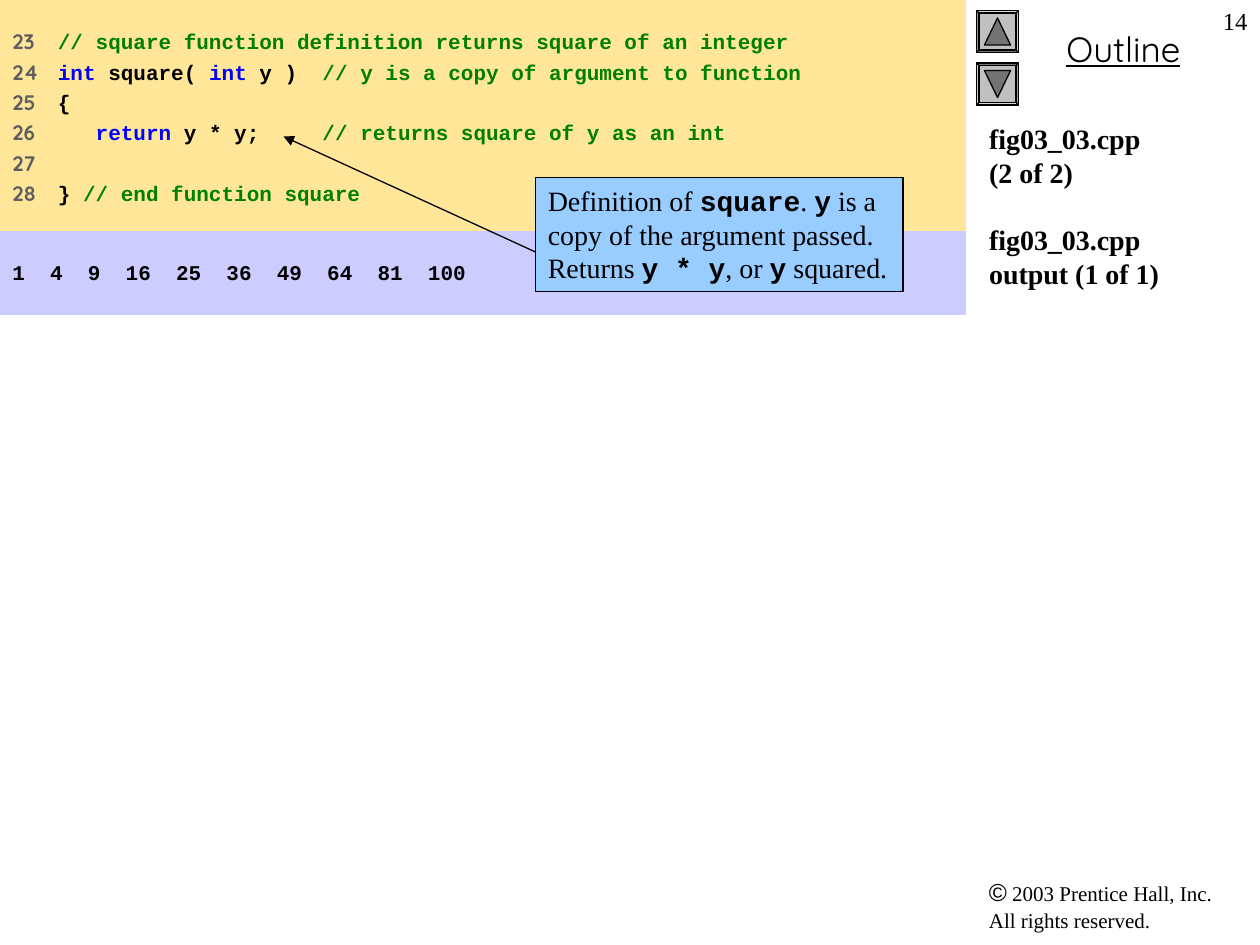
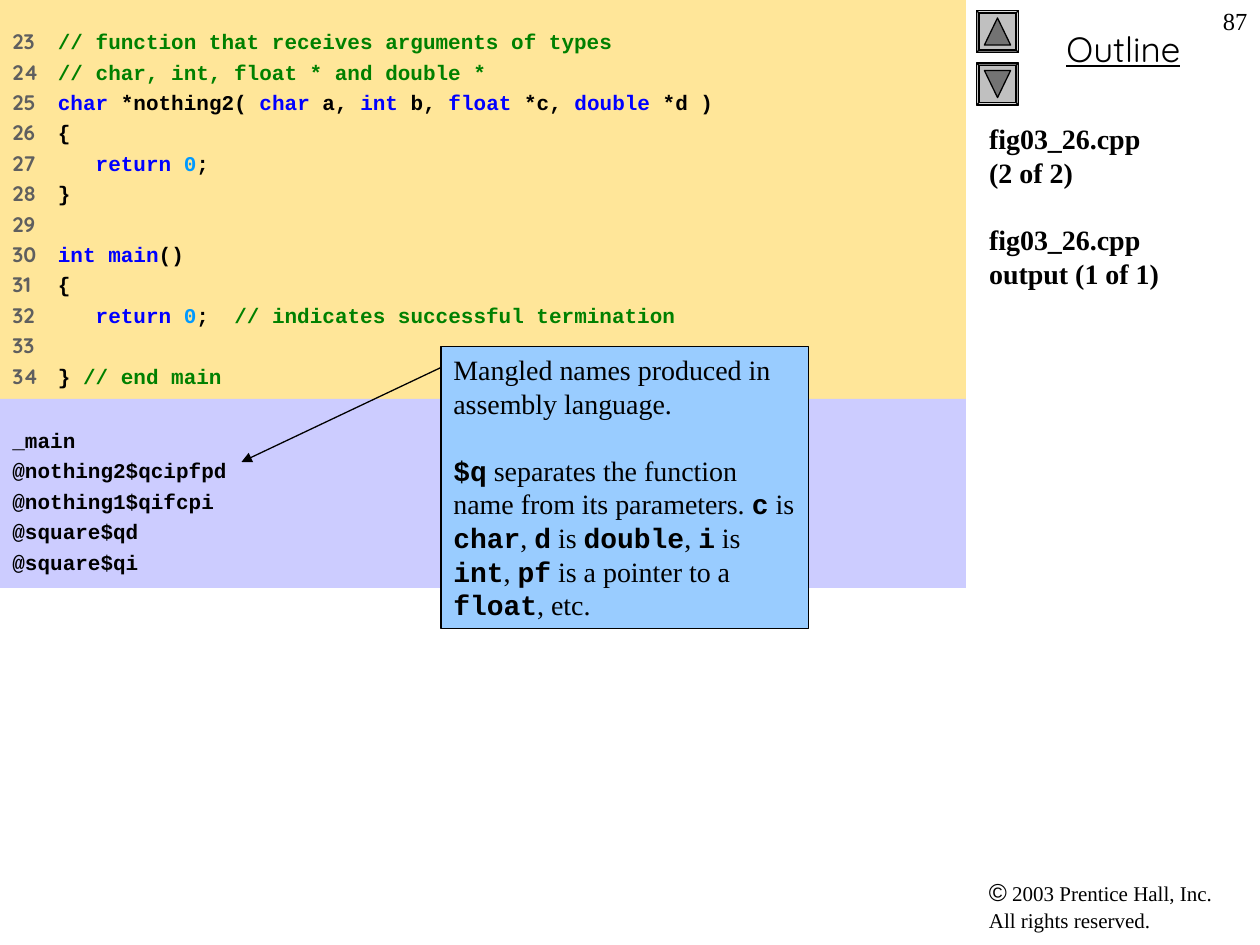
from lxml import etree
from pptx import Presentation
from pptx.dml.color import RGBColor
from pptx.enum import shapes, text
from pptx.oxml.ns import qn
from pptx.util import Pt

COLOURS = {
    "black": "000000", "code band": "FFE699", "output band": "CCCCFF",
    "callout": "99CCFF", "button": "C0C0C0", "arrowhead": "737373",
    "number": "5F5F5F", "comment": "008000", "keyword": "0000FF", "literal": "0099FF",
}
MONO, SERIF, ROUND = "Courier New", "Times New Roman", "Quicksand"
# style: font, size, colour, bold
STYLES = {
    "number": (ROUND, 12, "number", True),
    "plain": (MONO, 12, "black", True),
    "keyword": (MONO, 12, "keyword", True),
    "comment": (MONO, 12, "comment", True),
    "literal": (MONO, 12, "literal", True),
    "prose": (SERIF, 16, "black", False),
    "term": (MONO, 16, "black", True),
    "title": (SERIF, 16, "black", True),
    "outline": (ROUND, 20, "black", False),
    "page": (SERIF, 14, "black", False),
    "sign": ("Arial", 14, "black", False),
    "rights": (SERIF, 12, "black", False),
}
FIRST_LINE = 23
CODE_INDENT = 26
CODE_PITCH, PROSE_PITCH = 17.4, 19.2

SLIDES = [
    {
        "page": "14", "file": "fig03_03.cpp",
        "code": [
            [("comment", "// square function definition returns square of an integer")],
            [("keyword", "int"), ("plain", " square( "), ("keyword", "int"),
             ("plain", " y )  "), ("comment", "// y is a copy of argument to function")],
            [("plain", "{")],
            [("keyword", "   return"), ("plain", " y * y;    "),
             ("comment", " // returns square of y as an int")],
            [],
            [("plain", "} "), ("comment", "// end function square")],
        ],
        "code height": 144,
        "output": ["1  4  9  16  25  36  49  64  81  100"],
        "output box": (132, 48),
        "callout": ["Definition of `square`. `y` is a copy of the argument passed. "
                    "Returns `y * y`, or `y` squared."],
        "callout box": (306, 101.5, 210, 65),
        "arrow": (306, 144, 162, 78),
    },
    {
        "page": "87", "file": "fig03_26.cpp",
        "code": [
            [("comment", "// function that receives arguments of types")],
            [("comment", "// char, int, float * and double *")],
            [("keyword", "char"), ("plain", " *nothing2( "), ("keyword", "char"),
             ("plain", " a, "), ("keyword", "int"), ("plain", " b, "),
             ("keyword", "float"), ("plain", " *c, "), ("keyword", "double"),
             ("plain", " *d )")],
            [("plain", "{")],
            [("keyword", "   return "), ("literal", "0"), ("plain", ";")],
            [("plain", "}")],
            [],
            [("keyword", "int main"), ("plain", "()")],
            [("plain", "{")],
            [("keyword", "   return "), ("literal", "0"), ("plain", ";  "),
             ("comment", "// indicates successful termination")],
            [],
            [("plain", "} "), ("comment", "// end main")],
        ],
        "code height": 228,
        "output": ["_main", "@nothing2$qcipfpd", "@nothing1$qifcpi", "@square$qd", "@square$qi"],
        "output box": (228, 108),
        "callout": ["Mangled names produced in assembly language.",
                    "`$q` separates the function name from its parameters. `c` is `char`, "
                    "`d` is `double`, `i` is `int`, `pf` is a pointer to a `float`, etc."],
        "callout box": (252, 198, 210, 161),
        "arrow": (252, 210, 138, 264),
    },
]


def write(shape, paragraphs, pitch=None, gap=0, inset=3.6, align=text.PP_ALIGN.LEFT, tab=None):
    """Fill a shape with paragraphs, each a list of (style, wording); a newline breaks the line."""
    frame = shape.text_frame
    frame.word_wrap = True
    frame.auto_size = text.MSO_AUTO_SIZE.NONE
    frame.vertical_anchor = text.MSO_ANCHOR.TOP
    frame.margin_left = frame.margin_right = Pt(7.2)
    frame.margin_top = frame.margin_bottom = Pt(inset)
    for index, runs in enumerate(paragraphs):
        paragraph = frame.add_paragraph() if index else frame.paragraphs[0]
        if tab:
            tabs = etree.SubElement(paragraph._p.get_or_add_pPr(), qn("a:tabLst"))
            etree.SubElement(tabs, qn("a:tab"), pos=str(Pt(tab)), algn="l")
        paragraph.alignment = align
        paragraph.space_before = Pt(gap if index else 0)
        if pitch:
            paragraph.line_spacing = Pt(pitch)
        for style, wording in runs:
            name, size, colour, bold = STYLES[style]
            for number, line in enumerate(wording.split("\n")):
                if number:
                    paragraph.add_line_break()
                run = paragraph.add_run()
                run.text = line
                run.font.name, run.font.size, run.font.bold = name, Pt(size), bold
                run.font.underline = style == "outline"
                run.font.color.rgb = RGBColor.from_string(COLOURS[colour])


def add_box(slide, kind, box, fill, outlined=False):
    shape = slide.shapes.add_shape(kind, *map(Pt, box))
    shape.shadow.inherit = False
    shape.fill.solid()
    shape.fill.fore_color.rgb = RGBColor.from_string(COLOURS[fill])
    if outlined:
        shape.line.color.rgb = RGBColor.from_string(COLOURS["black"])
        shape.line.width = Pt(0.75)
    else:
        shape.line.fill.background()
    return shape


presentation = Presentation()
presentation.slide_width, presentation.slide_height = Pt(720), Pt(540)
RECTANGLE = shapes.MSO_SHAPE.RECTANGLE

for content in SLIDES:
    slide = presentation.slides.add_slide(presentation.slide_layouts[5])

    # Side column: copyright, heading, up and down buttons, title
    rights = slide.shapes.add_textbox(Pt(558), Pt(498), Pt(156), Pt(39))
    write(rights, [[("sign", "©"), ("rights", " 2003 Prentice Hall, Inc.\nAll rights reserved.")]],
          pitch=14.9, inset=5)
    heading = slide.shapes.add_textbox(Pt(564), Pt(12), Pt(156), Pt(32))
    write(heading, [[("outline", "Outline")]], align=text.PP_ALIGN.CENTER)
    for top, button_turn, arrow_turn in ((6, 90, 0), (36, 270, 180)):
        button = add_box(slide, shapes.MSO_SHAPE.BEVEL, (558, top, 24, 24), "button", True)
        button.adjustments[0] = 0.06
        button.rotation = button_turn
        arrowhead = add_box(slide, shapes.MSO_SHAPE.ISOSCELES_TRIANGLE,
                            (562.5, top + 4.25, 15, 15.5), "arrowhead", True)
        arrowhead.rotation = arrow_turn
    title = slide.shapes.title
    title.left, title.top, title.width, title.height = Pt(558), Pt(66), Pt(162), Pt(378)
    write(title, [[("title", content["file"] + "\n(2 of 2)")],
                  [("title", content["file"] + "\noutput (1 of 1)")]],
          pitch=PROSE_PITCH, gap=PROSE_PITCH)

    # Program listing and its output
    listing = add_box(slide, RECTANGLE, (0, 0, 552, content["code height"]), "code band")
    lines = []
    for number, code in enumerate(content["code"], FIRST_LINE):
        lines.append([("number", f"{number}\t" if code else str(number)), *code])
    write(listing, lines, pitch=CODE_PITCH, inset=13.4, tab=CODE_INDENT)
    top, height = content["output box"]
    output = add_box(slide, RECTANGLE, (0, top, 552, height), "output band")
    write(output, [[("plain", line)] for line in content["output"]], pitch=CODE_PITCH, inset=13.4)

    # Callout, with terms between backquotes, and its arrow
    callout = add_box(slide, RECTANGLE, content["callout box"], "callout", True)
    remarks = []
    for remark in content["callout"]:
        pieces = enumerate(remark.split("`"))
        remarks.append([("term" if index % 2 else "prose", piece) for index, piece in pieces if piece])
    write(callout, remarks, pitch=PROSE_PITCH, gap=PROSE_PITCH)
    arrow = slide.shapes.add_connector(shapes.MSO_CONNECTOR.STRAIGHT, *map(Pt, content["arrow"]))
    arrow.line.color.rgb = RGBColor.from_string(COLOURS["black"])
    arrow.line.width = Pt(0.75)
    etree.SubElement(arrow.line._get_or_add_ln(), qn("a:tailEnd"), type="triangle")
    etree.SubElement(arrow._element.spPr, qn("a:effectLst"))

    page = slide.shapes.add_textbox(Pt(684), Pt(0), Pt(36), Pt(36))
    write(page, [[("page", content["page"])]], align=text.PP_ALIGN.RIGHT)

presentation.save("out.pptx")
